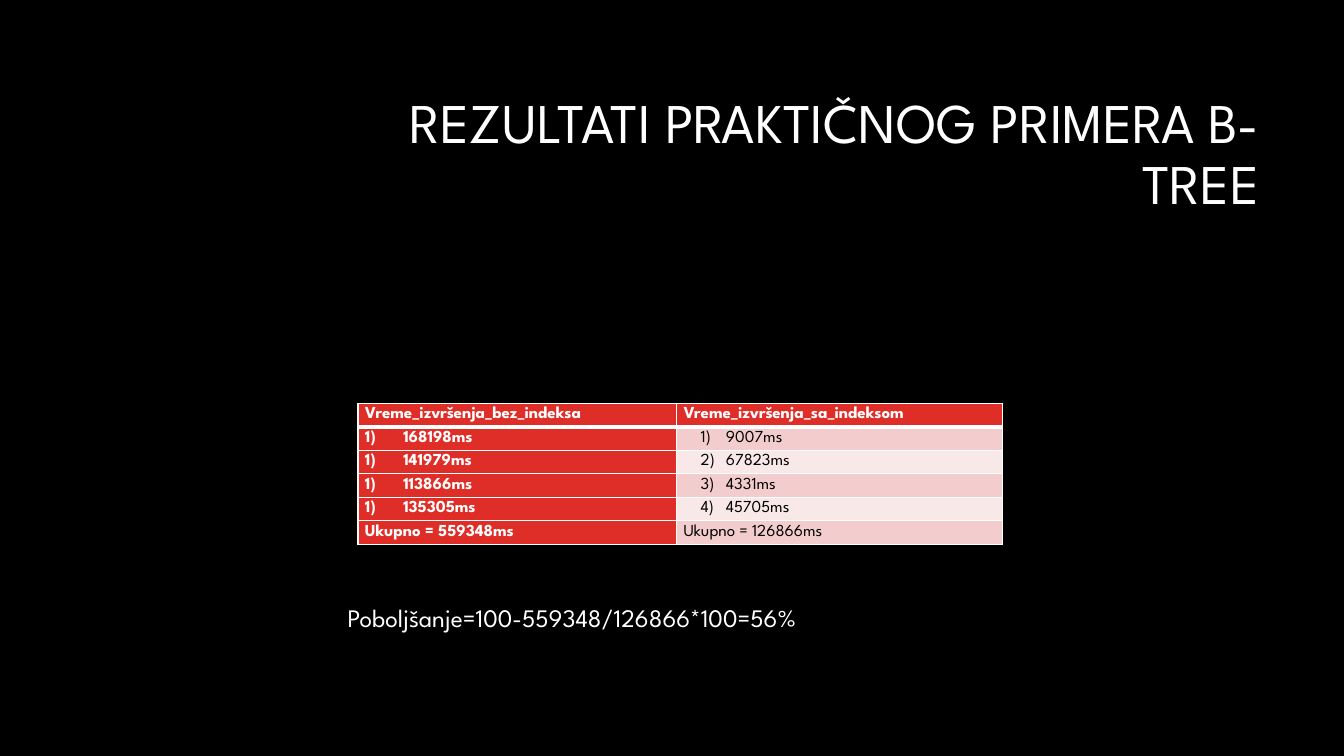
from dataclasses import dataclass

from lxml.etree import SubElement
from pptx import Presentation
from pptx.dml.color import RGBColor
from pptx.enum.text import MSO_ANCHOR as Anchor, MSO_AUTO_SIZE as AutoSize, PP_ALIGN as Align
from pptx.oxml.ns import qn
from pptx.util import Inches, Pt


@dataclass(frozen=True)
class Theme:
    font: str = "League Spartan"
    black: str = "000000"
    white: str = "FFFFFF"
    red: str = "DF2E28"
    bands: tuple = ("F3CDCD", "F9E8E8")
    title_size: int = 40
    note_size: int = 18
    table_size: int = 12


THEME = Theme()

HEADINGS = ("Vreme_izvršenja_bez_indeksa", "Vreme_izvršenja_sa_indeksom")
TIMES = (
    ("168198ms", "9007ms"),
    ("141979ms", "67823ms"),
    ("113866ms", "4331ms"),
    ("135305ms", "45705ms"),
)
TOTALS = ("Ukupno = 559348ms", "Ukupno = 126866ms")


def write(frame, text, size, color=THEME.white, bold=False, align=Align.LEFT, spacing=None):
    """Put one formatted paragraph into a text frame and return it."""
    paragraph = frame.paragraphs[0]
    paragraph.alignment = align
    if spacing:
        paragraph.line_spacing = spacing
    run = paragraph.add_run()
    run.text = text
    run.font.name = THEME.font
    run.font.size = Pt(size)
    run.font.bold = bold
    run.font.color.rgb = RGBColor.from_string(color)
    return paragraph


def number(paragraph, start, left, hanging):
    """Number a paragraph as 1), 2) and so on, with a hanging indent."""
    props = paragraph._p.get_or_add_pPr()
    props.set("marL", str(Inches(left)))
    props.set("indent", str(-Inches(hanging)))
    SubElement(props, qn("a:buFont"), typeface="+mj-lt")
    SubElement(props, qn("a:buAutoNum"), type="arabicParenR", startAt=str(start))


def border(cell, bottom=1):
    """Draw white cell borders; they must come before the fill."""
    props = cell._tc.get_or_add_tcPr()
    for side, width in (("L", 1), ("R", 1), ("T", 1), ("B", bottom)):
        line = SubElement(props, qn(f"a:ln{side}"), w=str(Pt(width)))
        fill = SubElement(line, qn("a:solidFill"))
        SubElement(fill, qn("a:srgbClr"), val=THEME.white)


def add_title(slide, text):
    title = slide.shapes.title
    title.left, title.top = Inches(3.17), Inches(0.84)
    title.width, title.height = Inches(9.42), Inches(1.41)
    frame = title.text_frame
    frame.word_wrap = True
    frame.auto_size = AutoSize.NONE
    frame.vertical_anchor = Anchor.MIDDLE
    write(frame, text, THEME.title_size, align=Align.RIGHT, spacing=0.9)


def add_times_table(slide):
    rows = (HEADINGS, *TIMES, TOTALS)
    table = slide.shapes.add_table(
        len(rows), len(HEADINGS), Inches(3.55), Inches(4), Inches(6.39), Inches(1.4)
    ).table
    for column, width in zip(table.columns, (3.16, 3.23)):
        column.width = Inches(width)

    for r, texts in enumerate(rows):
        for c, text in enumerate(texts):
            cell = table.cell(r, c)
            strong = r == 0 or c == 0
            cell.margin_left = cell.margin_right = Inches(0.07)
            cell.margin_top = cell.margin_bottom = 0
            # Centred in the row, the digits stay clear of the borders
            cell.vertical_anchor = Anchor.MIDDLE
            # Heading row has a thick rule under it
            border(cell, bottom=3 if r == 0 else 1)
            cell.fill.solid()
            cell.fill.fore_color.rgb = RGBColor.from_string(
                THEME.red if strong else THEME.bands[(r - 1) % 2]
            )
            paragraph = write(
                cell.text_frame, text, THEME.table_size, bold=strong,
                color=THEME.white if strong else THEME.black, align=Align.JUSTIFY,
            )
            # Each left cell restarts at 1; the right column counts on
            if texts in TIMES:
                if c == 0:
                    number(paragraph, 1, left=0.38, hanging=0.38)
                else:
                    number(paragraph, r, left=0.42, hanging=0.25)


def add_note(slide, text):
    note = slide.shapes.add_textbox(Inches(3.35), Inches(5.93), Inches(6.75), Inches(0.4))
    frame = note.text_frame
    frame.word_wrap = True
    frame.auto_size = AutoSize.SHAPE_TO_FIT_TEXT
    write(frame, text, THEME.note_size)


def main():
    deck = Presentation()
    deck.slide_width, deck.slide_height = Inches(13.33), Inches(7.5)
    slide = deck.slides.add_slide(deck.slide_layouts.get_by_name("Title Only"))
    slide.background.fill.solid()
    slide.background.fill.fore_color.rgb = RGBColor.from_string(THEME.black)

    add_title(slide, "REZULTATI PRAKTIČNOG PRIMERA B-TREE")
    add_times_table(slide)
    add_note(slide, "Poboljšanje=100-559348/126866*100=56%")
    deck.save("out.pptx")


if __name__ == "__main__":
    main()
